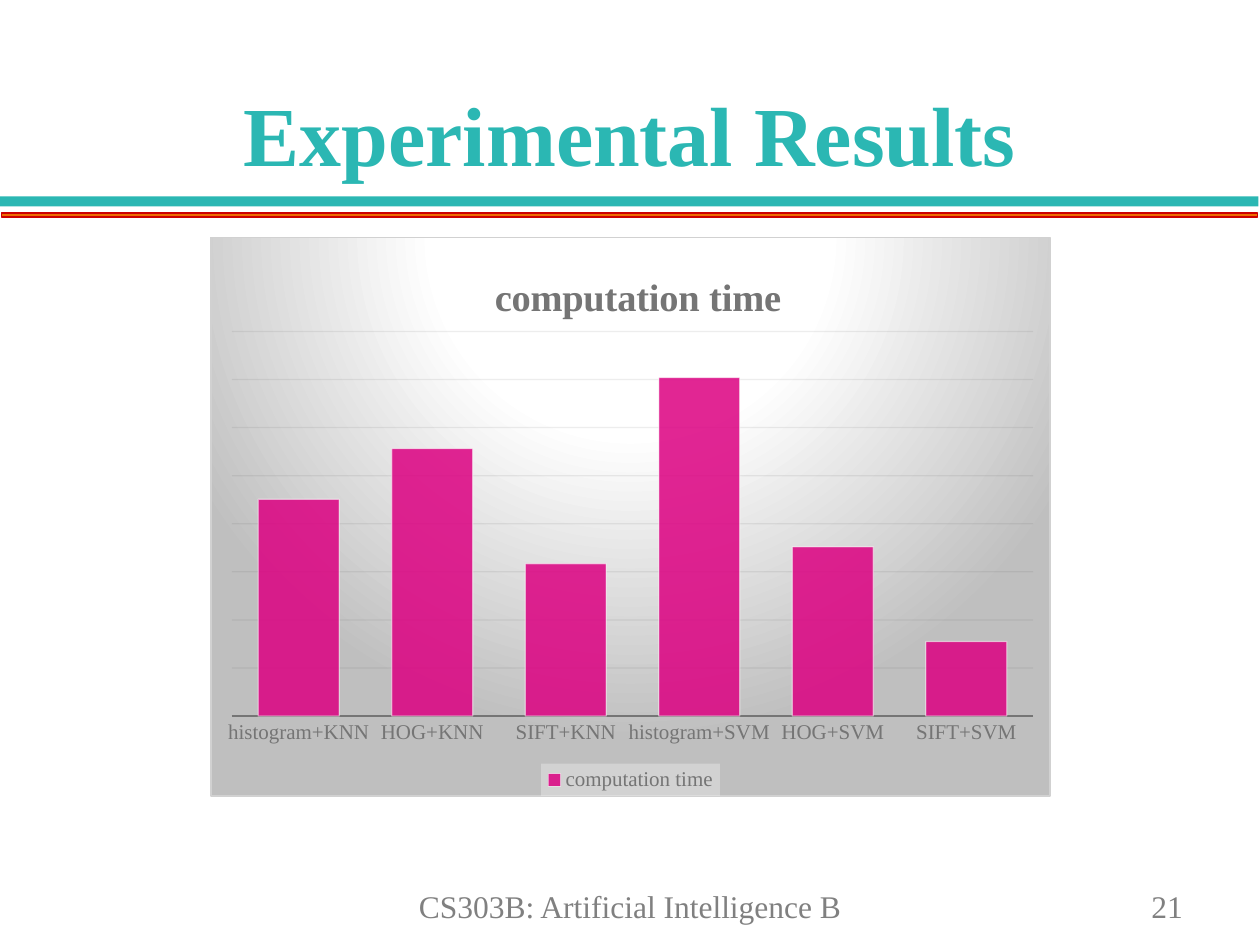
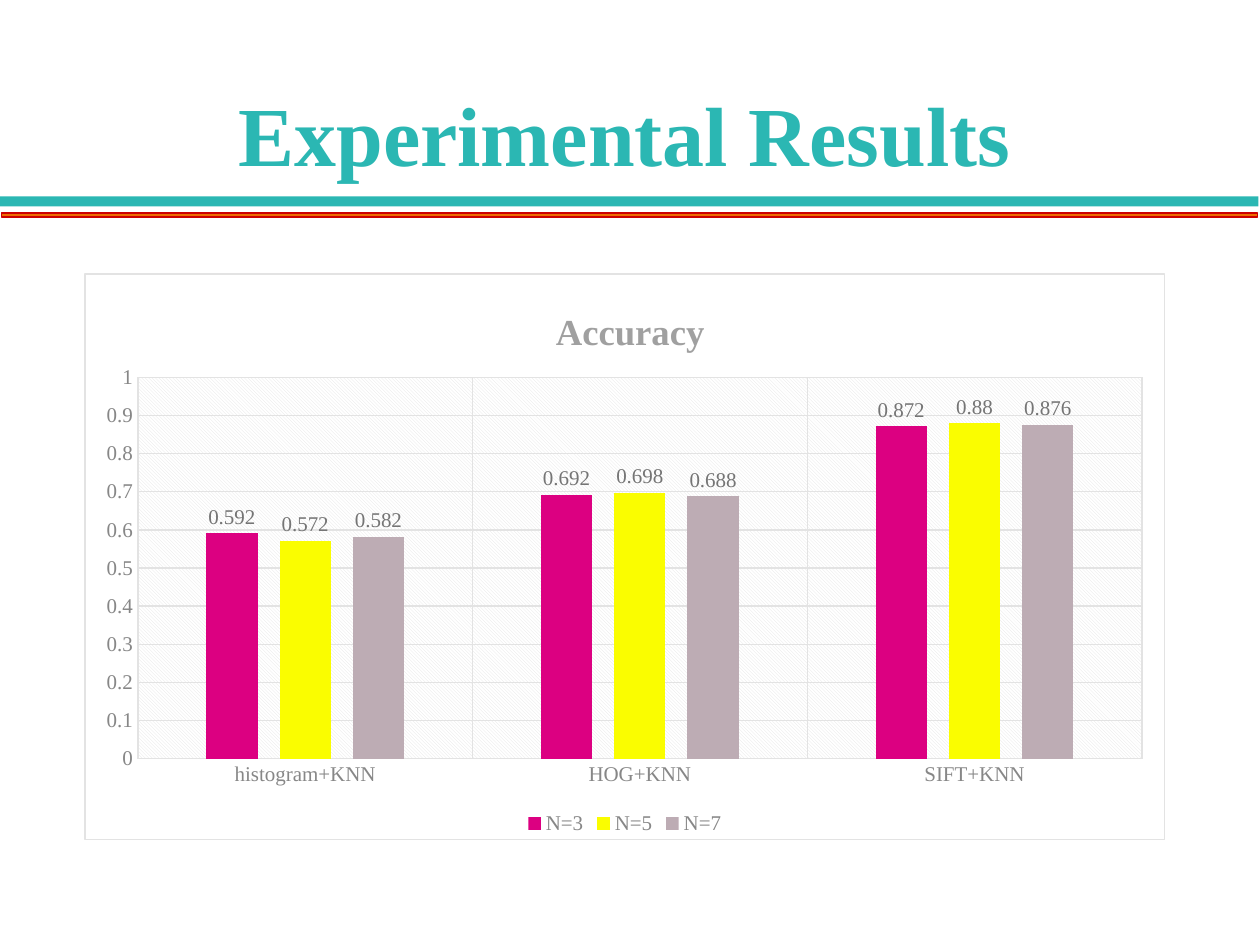
import pptx
import pptx.chart.data
import pptx.dml.color
import pptx.enum.chart
import pptx.enum.shapes
import pptx.enum.text
import pptx.oxml
import pptx.oxml.ns
import pptx.util

Cm = pptx.util.Cm
Pt = pptx.util.Pt
RGBColor = pptx.dml.color.RGBColor
qn = pptx.oxml.ns.qn
XL = pptx.enum.chart
ALIGN = pptx.enum.text.PP_ALIGN
ANCHOR = pptx.enum.text.MSO_ANCHOR

FONT = "Times New Roman"
COLORS = {
    "teal": "2BB7B3", "orange": "ED6C00", "red": "CC0000", "footer": "808080",
    "pink": "DC0081", "yellow": "FAFD00", "mauve": "BDACB4", "white": "FFFFFF",
    "dark": "757575", "medium": "878787", "title": "A0A0A0",
    "border": "D1D1D1", "grid": "E3E3E3", "faint": "505050", "shade": "BFBFBF",
    "legend": "F2F2F2",
}
RGB = {name: RGBColor.from_string(value) for name, value in COLORS.items()}
NAMESPACES = pptx.oxml.ns.nsdecls("a", "c")

TITLE_FORMAT = {"size": Pt(48), "bold": True}
FOOTER_FORMAT = {"size": Pt(18), "bold": False}
LABEL_FORMAT = {"size": Pt(12), "bold": False}

RADIAL_FILL = f"""<a:gradFill><a:gsLst>
<a:gs pos="0"><a:srgbClr val="{COLORS['white']}"/></a:gs>
<a:gs pos="39000"><a:srgbClr val="{COLORS['white']}"/></a:gs>
<a:gs pos="100000"><a:srgbClr val="{COLORS['shade']}"/></a:gs></a:gsLst>
<a:path path="circle"><a:fillToRect l="50000" t="-80000" r="50000" b="180000"/></a:path>
</a:gradFill>"""
WHITE_FILL = f'<a:solidFill><a:srgbClr val="{COLORS["white"]}"/></a:solidFill>'
LEGEND_FILL = (f'<a:solidFill><a:srgbClr val="{COLORS["legend"]}">'
               '<a:alpha val="39000"/></a:srgbClr></a:solidFill>')
HATCH_FILL = f"""<a:pattFill prst="ltDnDiag">
<a:fgClr><a:srgbClr val="{COLORS['grid']}"/></a:fgClr>
<a:bgClr><a:srgbClr val="{COLORS['white']}"/></a:bgClr></a:pattFill>"""

BANDS = [
    # frame in cm, fill, line
    ((0, 3.96, 25.37, 0.2), "teal", None),
    ((0.03, 4.29, 25.32, 0.08), "orange", "red"),
]

SLIDES = [
    {
        "title_frame": (0, 0.64, 25.4, 3.18),
        "footers": [
            ("CS303B: Artificial Intelligence B", (5.16, 17.75, 15.09, 0.94), ALIGN.CENTER),
            ("21", (22.96, 17.75, 2.44, 0.97), ALIGN.LEFT),
        ],
        "chart_frame": (4.24, 4.78, 16.94, 11.28),
        "chart_title": ("computation time", 22, "dark", (0.33, 0.05)),
        "plot_layout": (0.025, 0.168, 0.955, 0.689),
        "categories": ["histogram+KNN", "HOG+KNN", "SIFT+KNN",
                       "histogram+SVM", "HOG+SVM", "SIFT+SVM"],
        "series": [("computation time", (64, 79, 45, 100, 50, 22), "pink")],
        "plot": {"gap_width": 65, "overlap": 0, "has_data_labels": False},
        "category_axis": {"has_major_gridlines": False},
        "value_axis": {"visible": False, "minimum_scale": 0,
                       "maximum_scale": 113.6, "major_unit": 14.2},
        "axis_line": ("dark", 1.5),
        "grid": ("faint", 10),
        "label_color": "dark",
        "border": "border",
        "chart_fill": RADIAL_FILL,
        "plot_fill": "<a:noFill/>",
        "legend_fill": LEGEND_FILL,
        "bar_alpha": 85,
    },
    {
        "title_frame": (1.7, 0.64, 21.79, 3.18),
        "footers": [],
        "chart_frame": (1.7, 5.51, 21.79, 11.43),
        "chart_title": ("Accuracy", 21, "title", (0.43, 0.05)),
        "plot_layout": (0.049, 0.183, 0.93, 0.674),
        "categories": ["histogram+KNN", "HOG+KNN", "SIFT+KNN"],
        "series": [("N=3", (0.592, 0.692, 0.872), "pink"),
                   ("N=5", (0.572, 0.698, 0.88), "yellow"),
                   ("N=7", (0.582, 0.688, 0.876), "mauve")],
        "plot": {"gap_width": 267, "overlap": -43, "has_data_labels": True},
        "category_axis": {"has_major_gridlines": True},
        "value_axis": {"visible": True, "minimum_scale": 0,
                       "maximum_scale": 1, "major_unit": 0.1},
        "axis_line": ("grid", 0.75),
        "grid": ("grid", 100),
        "label_color": "medium",
        "border": "grid",
        "chart_fill": WHITE_FILL,
        "plot_fill": HATCH_FILL,
        "legend_fill": "<a:noFill/>",
        "bar_alpha": 100,
    },
]


def set_font(font, color, values):
    font.name = FONT
    font.color.rgb = RGB[color]
    for name, value in values.items():
        setattr(font, name, value)


def add_text(slide, text, frame, color, values, alignment, anchor):
    text_frame = slide.shapes.add_textbox(*map(Cm, frame)).text_frame
    text_frame.word_wrap = True
    text_frame.vertical_anchor = anchor
    paragraph = text_frame.paragraphs[0]
    paragraph.alignment = alignment
    run = paragraph.add_run()
    run.text = text
    set_font(run.font, color, values)


presentation = pptx.Presentation()
presentation.slide_width = Cm(25.4)
presentation.slide_height = Cm(19.05)

for content in SLIDES:
    slide = presentation.slides.add_slide(presentation.slide_layouts[6])

    # Bands, title and footers
    for frame, fill, line in BANDS:
        band = slide.shapes.add_shape(pptx.enum.shapes.MSO_SHAPE.RECTANGLE, *map(Cm, frame))
        band.shadow.inherit = False
        band.fill.solid()
        band.fill.fore_color.rgb = RGB[fill]
        if line:
            band.line.color.rgb = RGB[line]
            band.line.width = Pt(1)
        else:
            band.line.fill.background()
    add_text(slide, "Experimental Results", content["title_frame"], "teal",
             TITLE_FORMAT, ALIGN.CENTER, ANCHOR.BOTTOM)
    for text, frame, alignment in content["footers"]:
        add_text(slide, text, frame, "footer", FOOTER_FORMAT, alignment, ANCHOR.TOP)

    # Chart and its title
    data = pptx.chart.data.CategoryChartData()
    data.categories = content["categories"]
    for name, values, color in content["series"]:
        data.add_series(name, values)
    chart = slide.shapes.add_chart(XL.XL_CHART_TYPE.COLUMN_CLUSTERED,
                                   *map(Cm, content["chart_frame"]), data).chart
    set_font(chart.font, content["label_color"], LABEL_FORMAT)
    text, size, color, title_position = content["chart_title"]
    chart.has_title = True
    paragraph = chart.chart_title.text_frame.paragraphs[0]
    run = paragraph.add_run()
    run.text = text
    set_font(run.font, color, {"size": Pt(size), "bold": True})

    # Legend
    chart.has_legend = True
    chart.legend.position = XL.XL_LEGEND_POSITION.BOTTOM
    chart.legend.include_in_layout = False
    set_font(chart.legend.font, content["label_color"], LABEL_FORMAT)

    # Axes and gridlines
    for axis, values in ((chart.category_axis, content["category_axis"]),
                         (chart.value_axis, content["value_axis"])):
        axis.major_tick_mark = XL.XL_TICK_MARK.NONE
        axis.minor_tick_mark = XL.XL_TICK_MARK.NONE
        set_font(axis.tick_labels.font, content["label_color"], LABEL_FORMAT)
        for name, value in values.items():
            setattr(axis, name, value)
        if axis.has_major_gridlines:
            color, opacity = content["grid"]
            grid_line = axis.major_gridlines.format.line
            grid_line.color.rgb = RGB[color]
            grid_line.width = Pt(0.75)
            grid_color = axis.major_gridlines._xAx.find(".//" + qn("c:majorGridlines"))
            grid_color.find(".//" + qn("a:srgbClr")).append(pptx.oxml.parse_xml(
                f'<a:alpha {NAMESPACES} val="{opacity * 1000}"/>'))
    color, width = content["axis_line"]
    chart.category_axis.format.line.color.rgb = RGB[color]
    chart.category_axis.format.line.width = Pt(width)
    chart.value_axis.format.line.fill.background()

    # Bars and data labels
    plot = chart.plots[0]
    plot.vary_by_categories = False
    for name, value in content["plot"].items():
        setattr(plot, name, value)
    if plot.has_data_labels:
        plot.data_labels.show_value = True
        plot.data_labels.position = XL.XL_LABEL_POSITION.OUTSIDE_END
        set_font(plot.data_labels.font, "dark", LABEL_FORMAT)
    for series, (name, values, color) in zip(plot.series, content["series"]):
        series.invert_if_negative = False
        series.format.fill.solid()
        series.format.fill.fore_color.rgb = RGB[color]
        series.format.line.fill.background()
        if content["bar_alpha"] < 100:
            series.format.line.color.rgb = RGB["white"]
            series.format.line.width = Pt(0.75)
            fill_color, line_color = series._element.spPr.iter(qn("a:srgbClr"))
            for element, opacity in ((fill_color, content["bar_alpha"]), (line_color, 50)):
                element.append(pptx.oxml.parse_xml(
                    f'<a:alpha {NAMESPACES} val="{opacity * 1000}"/>'))

    # Manual placement of the title and the plot area
    chart_element = chart._chartSpace.chart
    plot_area = chart_element.plotArea
    for parent, index, target, lengths in (
            (chart.chart_title._element, 1, "", title_position),
            (plot_area, 0, '<c:layoutTarget val="inner"/>', content["plot_layout"])):
        for old_layout in parent.findall(qn("c:layout")):
            parent.remove(old_layout)
        modes = '<c:xMode val="edge"/><c:yMode val="edge"/>'
        sizes = "".join(f'<c:{key} val="{value}"/>' for key, value in zip("xywh", lengths))
        parent.insert(index, pptx.oxml.parse_xml(
            f"<c:layout {NAMESPACES}><c:manualLayout>{target}{modes}{sizes}"
            "</c:manualLayout></c:layout>"))

    # Backgrounds of the chart, the plot area and the legend
    border = (f'<a:ln w="9525"><a:solidFill><a:srgbClr val="{COLORS[content["border"]]}"/>'
              "</a:solidFill></a:ln>")
    no_line = "<a:ln><a:noFill/></a:ln>"
    legend_overlay = chart.legend._element.find(qn("c:overlay"))
    for previous, fill, line in (
            (chart_element, content["chart_fill"], border),
            (plot_area[-1], content["plot_fill"], no_line),
            (legend_overlay, content["legend_fill"], no_line)):
        previous.addnext(pptx.oxml.parse_xml(
            f"<c:spPr {NAMESPACES}>{fill}{line}</c:spPr>"))

presentation.save("out.pptx")
